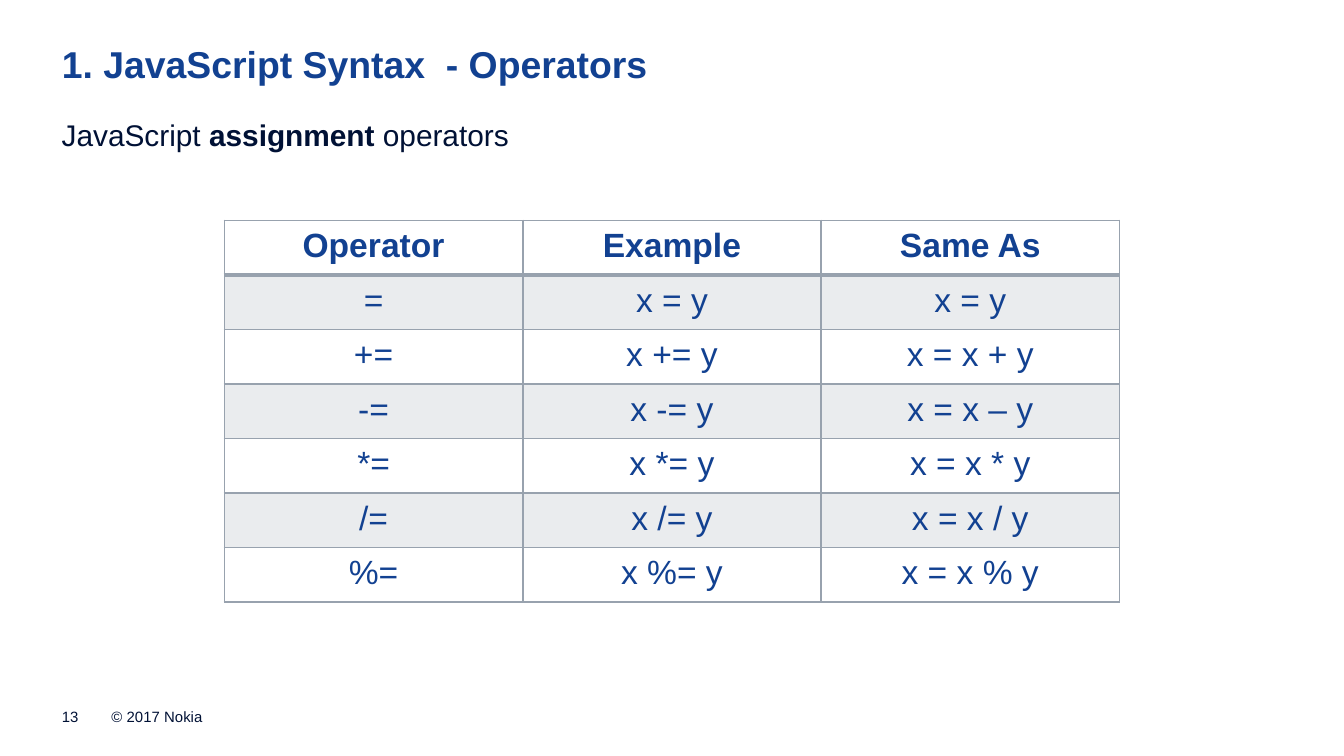
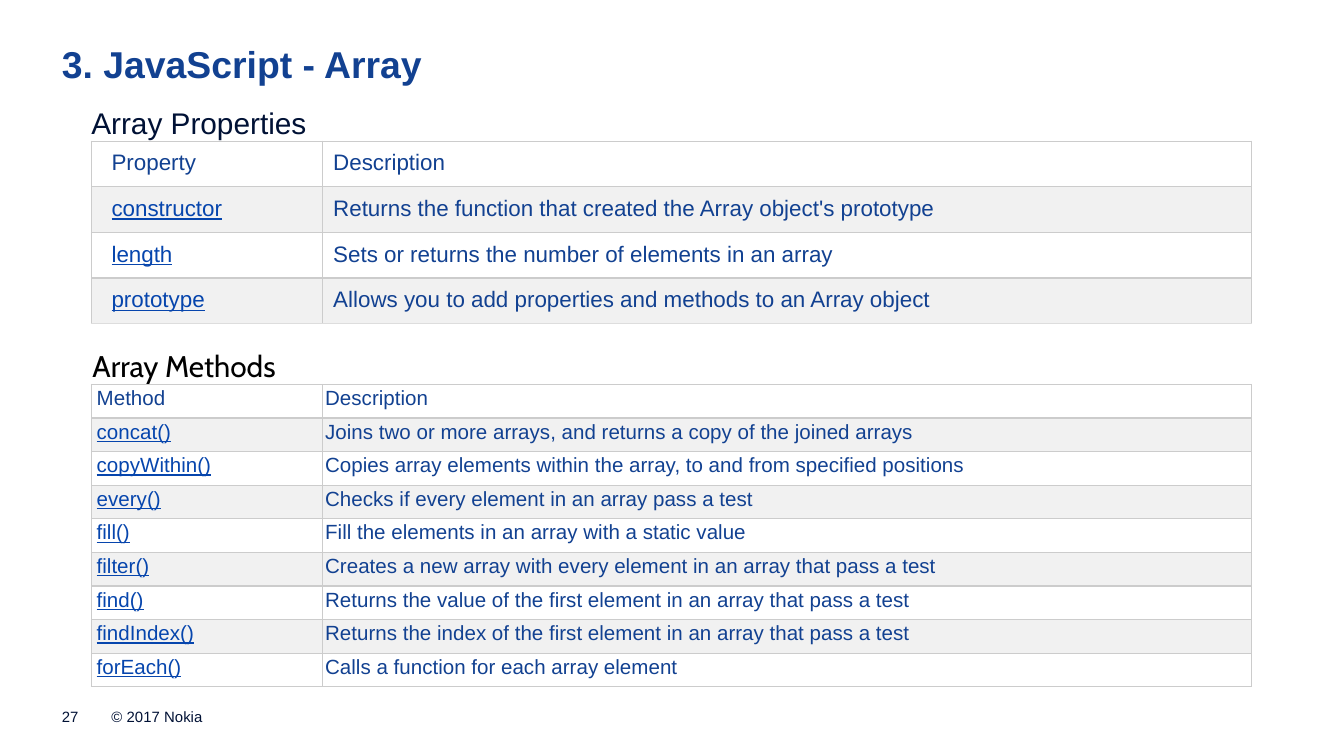
from dataclasses import dataclass, field

from lxml import etree
from pptx import Presentation, util as u
from pptx.dml.color import RGBColor
from pptx.enum import text
from pptx.oxml.ns import qn

BLUE, NAVY, LINK = "124191", "001135", "0645AD"
GREY, RULE, BLACK, WHITE, BAND = "98A2AE", "CCCCCC", "000000", "FFFFFF", "F1F1F1"
SANS = "Arial"
SLIDE_WIDTH = 10


@dataclass
class Label:
    """A text box; runs alternate plain and bold."""
    at: tuple[float, float, float, float]
    runs: tuple[str, ...]
    size: float = 16
    color: str = NAVY
    font: str = SANS
    bold: bool = False
    anchor: text.MSO_ANCHOR = text.MSO_ANCHOR.TOP
    inset: tuple[float, float] = (0, 0)
    wrap: bool = True


@dataclass
class Grid:
    """A banded table with rows of equal height."""
    at: tuple[float, float, float, float]
    cols: tuple[float, ...]
    rows: list[tuple[str, ...]]
    size: float
    first_left: float
    insets: tuple[float, float, float, float]  # left, top, right, bottom
    rule: tuple[str, float] = (RULE, 0.75)
    special_rules: dict[int, tuple[str, float]] = field(default_factory=dict)
    fills: tuple[str | None, str] = (WHITE, BAND)
    band_alpha: int = 100
    centred: bool = False
    bold_header: bool = False
    link_column: bool = False


def rgb(color: str) -> RGBColor:
    return RGBColor.from_string(color)


def set_font(font, size: float, color: str, name: str = SANS, bold: bool = False) -> None:
    font.size, font.name, font.bold = u.Pt(size), name, bold
    font.color.rgb = rgb(color)


def add_label(s, label: Label) -> None:
    tf = s.shapes.add_textbox(*map(u.Inches, label.at)).text_frame
    tf.word_wrap, tf.vertical_anchor = label.wrap, label.anchor
    tf.margin_left = tf.margin_right = u.Inches(label.inset[0])
    tf.margin_top = tf.margin_bottom = u.Inches(label.inset[1])
    p = tf.paragraphs[0]
    set_font(p.font, label.size, label.color, label.font, label.bold)
    for i, words in enumerate(label.runs):
        r = p.add_run()
        r.text = words
        if i % 2:
            r.font.bold = True


def add_border(cell, side: str, color: str, width: float) -> None:
    ln = etree.SubElement(cell._tc.get_or_add_tcPr(), qn(f"a:ln{side}"), w=str(u.Pt(width)))
    solid = etree.SubElement(ln, qn("a:solidFill"))
    etree.SubElement(solid, qn("a:srgbClr"), val=color)


def fill_cell(cell, color: str | None, alpha: int) -> None:
    if color is None:
        cell.fill.background()
        return
    cell.fill.solid()
    cell.fill.fore_color.rgb = rgb(color)
    if alpha < 100:
        # Direct child only: the borders hold solid fills as well
        clr = cell._tc.tcPr.find(qn("a:solidFill")).find(qn("a:srgbClr"))
        etree.SubElement(clr, qn("a:alpha"), val=str(alpha * 1000))


def add_grid(s, grid: Grid) -> None:
    frame = s.shapes.add_table(len(grid.rows), len(grid.cols), *map(u.Inches, grid.at))
    table = frame.table
    table.first_row = table.horz_banding = False
    for column, width in zip(table.columns, grid.cols):
        column.width = u.Inches(width)
    left, top, right, bottom = grid.insets
    for i, values in enumerate(grid.rows):
        table.rows[i].height = u.Inches(grid.at[3] / len(grid.rows))
        for j, value in enumerate(values):
            cell = table.cell(i, j)
            cell.margin_left = u.Inches(left if j else grid.first_left)
            cell.margin_top, cell.margin_right = u.Inches(top), u.Inches(right)
            cell.margin_bottom = u.Inches(bottom)
            # Borders come before the fill in the cell properties
            above, below = (grid.special_rules.get(k, grid.rule) for k in (i, i + 1))
            for side, rule in zip("LRTB", (grid.rule, grid.rule, above, below)):
                add_border(cell, side, *rule)
            fill_cell(cell, grid.fills[i % 2], grid.band_alpha)
            cell.text = value
            p = cell.text_frame.paragraphs[0]
            if grid.centred:
                p.alignment = text.PP_ALIGN.CENTER
            is_link = grid.link_column and i > 0 and j == 0
            set_font(p.font, grid.size, LINK if is_link else BLUE,
                     bold=grid.bold_header and i == 0)
            if is_link:
                p.font.underline = True


def add_slide(prs, title: str, number: int, parts: list[Label | Grid]) -> None:
    s = prs.slides.add_slide(prs.slide_layouts[6])
    # Footer and title
    for at, words in (((0.83, 5.27, 1.97, 0.13), "© 2017 Nokia"),
                      ((0.46, 5.27, 0.28, 0.13), str(number))):
        add_label(s, Label(at, (words,), 8, anchor=text.MSO_ANCHOR.BOTTOM))
    add_label(s, Label((0.46, 0.31, 9.09, 0.34), (title,), 20, BLUE, bold=True))
    # Content
    for part in parts:
        if isinstance(part, Grid):
            add_grid(s, part)
        else:
            add_label(s, part)


OPERATORS = [
    ("Operator", "Example", "Same As"),
    ("=", "x = y", "x = y"),
    ("+=", "x += y", "x = x + y"),
    ("-=", "x -= y", "x = x – y"),
    ("*=", "x *= y", "x = x * y"),
    ("/=", "x /= y", "x = x / y"),
    ("%=", "x %= y", "x = x % y"),
]
PROPERTIES = [
    ("Property", "Description"),
    ("constructor", "Returns the function that created the Array object's prototype"),
    ("length", "Sets or returns the number of elements in an array"),
    ("prototype", "Allows you to add properties and methods to an Array object"),
]
METHODS = [
    ("Method", "Description"),
    ("concat()", "Joins two or more arrays, and returns a copy of the joined arrays"),
    ("copyWithin()", "Copies array elements within the array, to and from specified positions"),
    ("every()", "Checks if every element in an array pass a test"),
    ("fill()", "Fill the elements in an array with a static value"),
    ("filter()", "Creates a new array with every element in an array that pass a test"),
    ("find()", "Returns the value of the first element in an array that pass a test"),
    ("findIndex()", "Returns the index of the first element in an array that pass a test"),
    ("forEach()", "Calls a function for each array element"),
]


def main() -> None:
    prs = Presentation()
    prs.slide_width = u.Inches(SLIDE_WIDTH)
    prs.slide_height = u.Inches(SLIDE_WIDTH * 9 / 16)

    # Assignment operators
    add_slide(prs, "1. JavaScript Syntax  - Operators", 13, [
        Label((0.46, 0.87, 8.86, 4.22), ("JavaScript ", "assignment ", "operators")),
        Grid((1.67, 1.64, 6.67, 2.84), (2.22,) * 3, OPERATORS, 18, 0.1,
             (0.1, 0.05, 0.1, 0.05), rule=(GREY, 1), special_rules={1: (GREY, 2)},
             fills=(None, GREY), band_alpha=20, centred=True, bold_header=True),
    ])

    # Array properties and methods
    columns = (1.72, 6.91)
    add_slide(prs, "3. JavaScript - Array", 27, [
        Label((0.68, 0.78, 8.86, 4.6), ("Array Properties",)),
        Grid((0.68, 1.05, 8.62, 1.36), columns, PROPERTIES, 12, 0.15,
             (0.08, 0.07, 0.08, 0.07), special_rules={len(PROPERTIES): ("DDDDDD", 0.75)},
             link_column=True),
        Label((0.59, 2.54, 1.67, 0.37), ("Array Methods",), color=BLACK, font="Cabin",
              inset=(0.1, 0.05), wrap=False),
        Grid((0.68, 2.86, 8.62, 2.25), columns, METHODS, 11, 0.04, (0.02,) * 4,
             link_column=True),
    ])
    prs.save("out.pptx")


if __name__ == "__main__":
    main()
